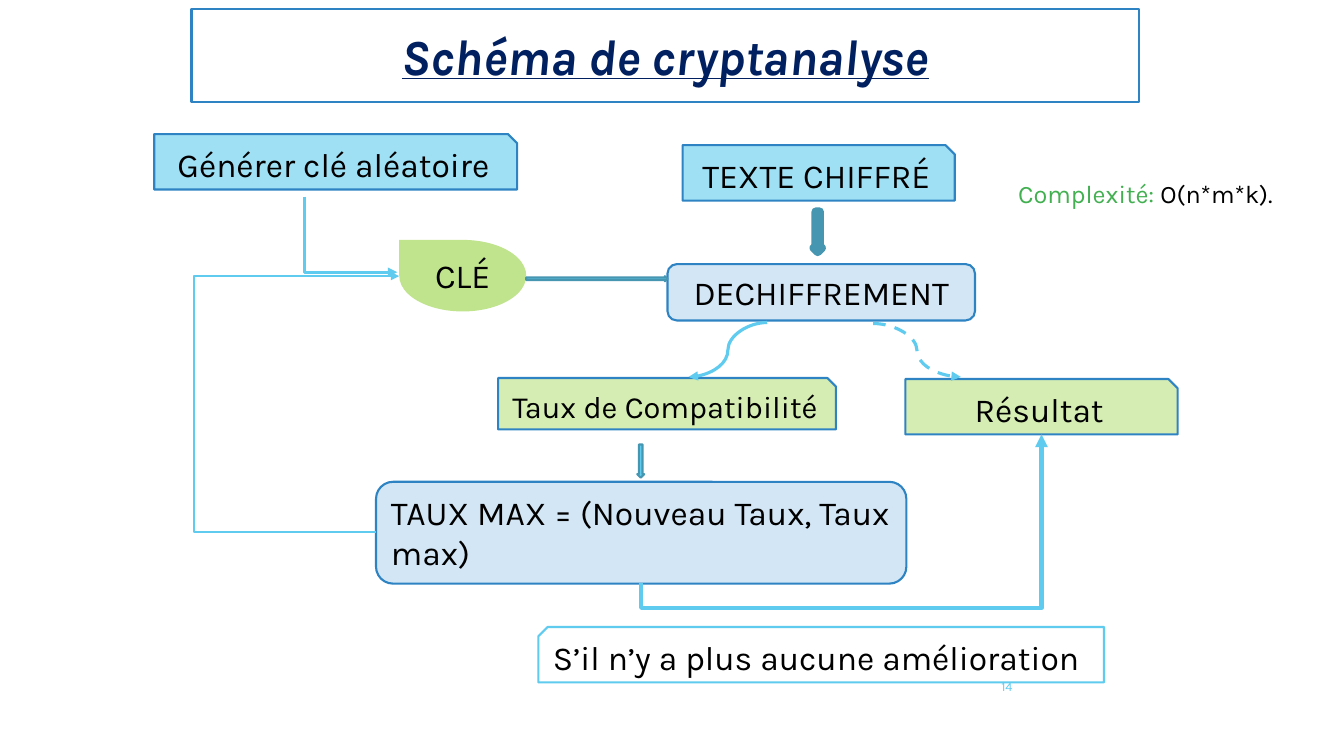
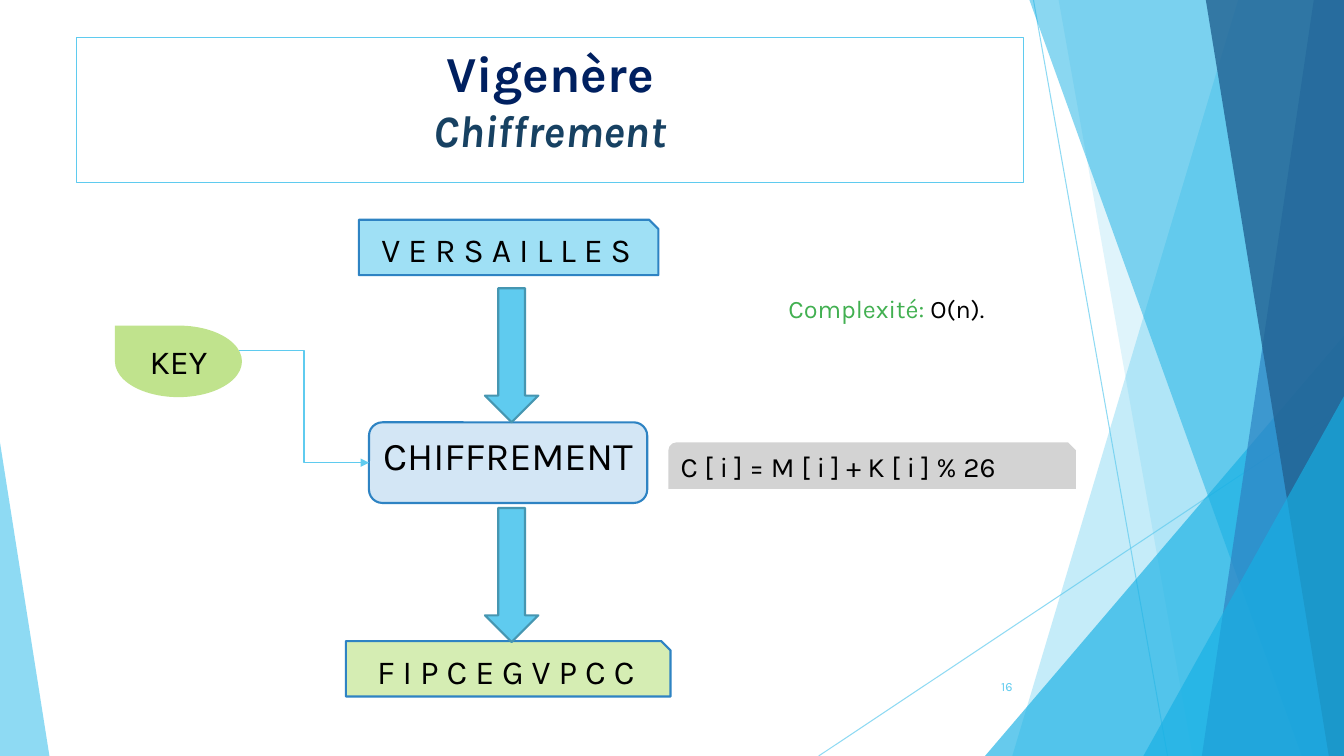
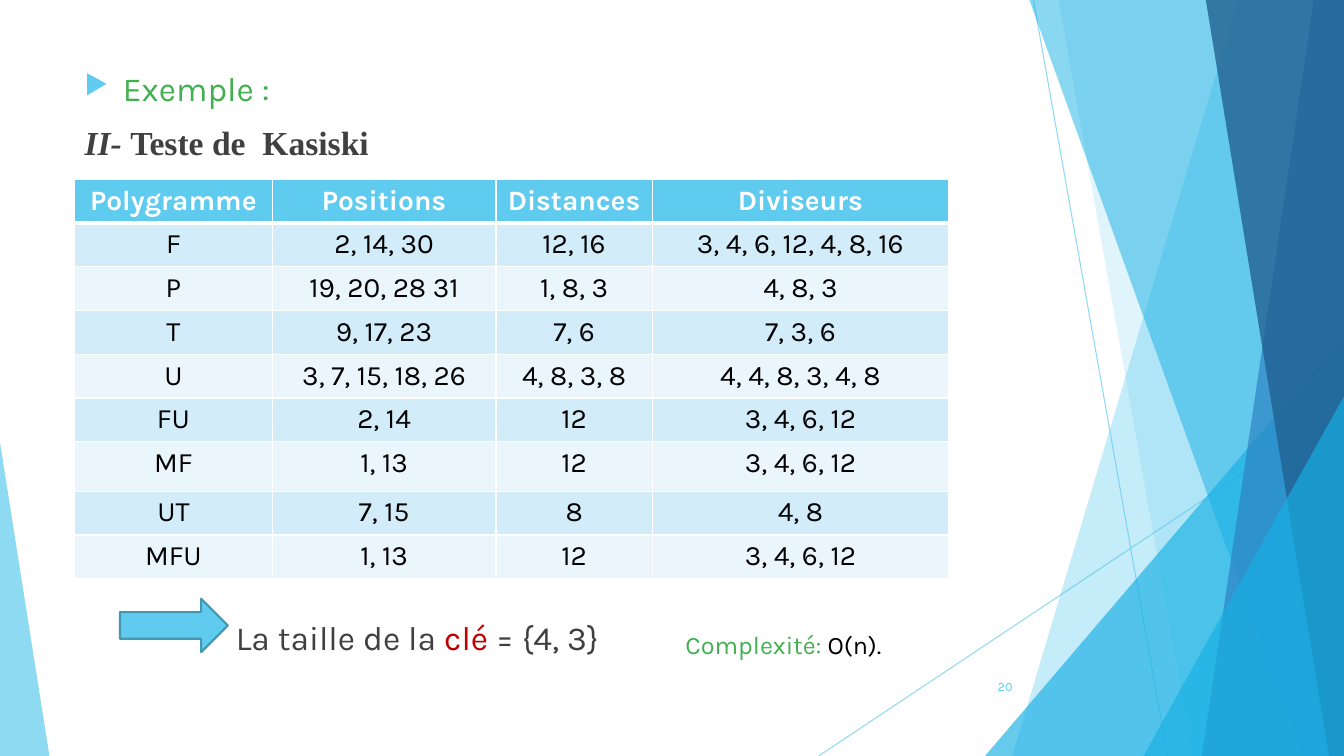
from dataclasses import dataclass

from lxml import etree
from pptx import Presentation
from pptx import util as u
from pptx.dml.color import RGBColor
from pptx.enum import dml, shapes, text
from pptx.oxml import ns

S, C = shapes.MSO_SHAPE, shapes.MSO_CONNECTOR
MID, RIGHT = text.PP_ALIGN.CENTER, text.PP_ALIGN.RIGHT
CELL = u.Inches(1)  # the grid: square cells, 13.33 columns by 7.5 rows
COLS, ROWS = 13.33, 7.5


@dataclass(frozen=True)
class Theme:
    font: str = "Karla"
    serif: str = "Times New Roman"
    ink: str = "000000"
    gray: str = "404040"
    white: str = "FFFFFF"
    navy: str = "002060"
    steel: str = "174162"
    green: str = "42B051"
    red: str = "C00000"
    sky: str = "5FCBEF"
    cyan: str = "17B0E4"
    blue: str = "2E83C3"
    deep: str = "226292"
    teal: str = "4696B1"
    input: str = "9FE0F5"
    step: str = "D3E6F5"
    key: str = "C0E38D"
    output: str = "D5EDB3"
    rule: str = "D3D3D3"
    bands: tuple = ("EAF6FC", "D2ECF9")
    head: int = 36
    sub: int = 32
    large: int = 28
    body: int = 24
    mid: int = 22
    cell: int = 20
    note: int = 18
    tiny: int = 9


T = Theme()


# --- Formatting ---
def add(parent, tag, **attrs):
    node = etree.SubElement(parent, ns.qn(tag))
    for name, value in attrs.items():
        node.set(name, str(value))
    return node


def fade(props, share):
    for color in props.iter(ns.qn("a:srgbClr")):
        add(color, "a:alpha", val=share * 1000)


def paint(fill, color):
    if color:
        fill.solid()
        fill.fore_color.rgb = RGBColor.from_string(color)
    else:
        fill.background()


def write(par, runs, align=None):
    """Each run is a text or a pair of a text and its format values."""
    par.alignment = align
    for item in runs:
        words, style = (item, {}) if isinstance(item, str) else item
        run = par.add_run()
        run.text = words
        style = {"name": T.font, "size": T.body, "color": T.ink, **style}
        paint(run.font.fill, style.pop("color"))
        style["size"] = u.Pt(style["size"])
        for name, value in style.items():
            setattr(run.font, name, value)


def fill_text(frame, pars, align=None, anchor=text.MSO_ANCHOR.TOP, grow=False):
    frame.word_wrap = True
    frame.vertical_anchor = anchor
    if grow:
        frame.auto_size = text.MSO_AUTO_SIZE.SHAPE_TO_FIT_TEXT
    for i, runs in enumerate(pars):
        write(frame.add_paragraph() if i else frame.paragraphs[0], runs, align)


# --- Drawing inside a region ---
class Area:
    def __init__(self, slide, left=0, top=0):
        self.tree, self.left, self.top = slide.shapes, left, top

    def at(self, x, y):
        return int((self.left + x) * CELL), int((self.top + y) * CELL)

    def box(self, x, y, w, h):
        return *self.at(x, y), int(w * CELL), int(h * CELL)

    def style(self, item, fill, line, width):
        item.shadow.inherit = False
        paint(item.fill, fill)
        paint(item.line.fill, line)
        if line:
            item.line.width = u.Pt(width)
        return item

    def shape(self, kind, box, fill, line=None, width=1.5, pars=(), align=MID,
              anchor=text.MSO_ANCHOR.TOP, grow=True, flip=False, adj=None):
        item = self.style(self.tree.add_shape(kind, *self.box(*box)), fill, line, width)
        if flip:
            item._element.spPr.xfrm.set("flipH", "1")
        if adj is not None:
            item.adjustments[0] = adj
        if pars:
            fill_text(item.text_frame, pars, align, anchor, grow)
        return item

    def outline(self, points):
        pen = self.tree.build_freeform(*self.at(*points[0]))
        pen.add_line_segments([self.at(*p) for p in points[1:]])
        return pen.convert_to_shape()

    def words(self, box, pars, **style):
        item = self.tree.add_textbox(*self.box(*box))
        fill_text(item.text_frame, pars, **style)
        return item

    def link(self, kind, start, end, width=1, adj=None, dash=False, tip=True, rise=False):
        (ax, ay), (bx, by) = start, end
        if rise:  # leaves downwards: a box turned a quarter about its middle
            cx, cy, w, h = (ax + bx) / 2, (ay + by) / 2, abs(by - ay), abs(bx - ax)
            ax, ay, bx, by = cx - w / 2, cy - h / 2, cx + w / 2, cy + h / 2
        item = self.tree.add_connector(kind, *self.at(ax, ay), *self.at(bx, by))
        props = item._element.spPr
        if rise:
            props.xfrm.set("rot", str(270 * 60000))
        if adj is not None:
            guides = props.find(ns.qn("a:prstGeom")).get_or_add_avLst()
            add(guides, "a:gd", name="adj1", fmla=f"val {round(adj * 100000)}")
        paint(item.line.fill, T.sky)
        item.line.width = u.Pt(width)
        if dash:
            item.line.dash_style = dml.MSO_LINE.DASH
        if tip:
            add(props.find(ns.qn("a:ln")), "a:tailEnd", type="triangle")
        add(props, "a:effectLst")
        return item


# --- Shared parts ---
def facets(area):
    for ends in (((10.25, 0), (11.58, ROWS)), ((COLS, 4.03), (8.12, ROWS))):
        ray = area.link(C.STRAIGHT, *ends, width=0.75, tip=False)
        fade(ray._element.spPr, 70)

    def band(top, foot, color, share):
        item = area.outline([(top, 0), (COLS, 0), (COLS, ROWS), (foot, ROWS), (top, 0)])
        area.style(item, color, None, 0)
        fade(item._element.spPr, share)

    def wedge(x, y, w, color, share, peak):
        item = area.shape(S.ISOSCELES_TRIANGLE, (x, y, w, ROWS - y), color, adj=peak)
        fade(item._element.spPr, share)

    band(12.28, 10.04, T.sky, 36)
    band(10.5, 11.83, T.sky, 20)
    wedge(9.77, 3.33, 3.56, T.cyan, 66, 1)
    band(10.21, 12.91, T.cyan, 50)
    band(13.03, 11.92, T.blue, 70)
    band(11.96, 13.18, T.deep, 80)
    wedge(11.34, 3.93, 1.99, T.cyan, 66, 1)
    wedge(0, 4.39, 0.49, T.sky, 70, 0)


def number(area, page):
    area.words((9.39, 6.61, 0.75, 0.4), [[(page, dict(size=T.tiny, color=T.sky))]],
               align=RIGHT, anchor=text.MSO_ANCHOR.MIDDLE)


def cost(area, box, order):
    area.words(box, [[("Complexité: ", dict(size=T.note, color=T.green)),
                      (order, dict(size=T.note))]])


def node(area, kind, box, fill, label, size=T.body, **style):
    area.shape(kind, box, fill, T.blue, pars=[[(label, dict(size=size))]], **style)


def drop(area, box, label):
    area.shape(S.TEAR, box, T.key, pars=[[label]], flip=True)


def arrow(area, kind, box, width=1.5):
    area.shape(kind, box, T.sky, T.teal, width)


# --- Flow of the attack ---
def attack(area):
    card, step = S.SNIP_1_RECTANGLE, S.ROUNDED_RECTANGLE
    node(area, card, (5.27, 0.14, 2.7, 0.55), T.input, "TEXTE CHIFFRÉ")
    node(area, card, (0.03, 0.03, 3.6, 0.55), T.input, "Générer clé aléatoire")
    node(area, step, (5.12, 1.32, 3.05, 0.56), T.step, "DECHIFFREMENT")
    drop(area, (2.46, 1.08, 1.26, 0.71), "CLÉ")
    area.link(C.ELBOW, (1.52, 0.65), (2.44, 1.4), 2.25, adj=0)
    arrow(area, S.RIGHT_ARROW, (3.72, 1.44, 1.4, 0.05))
    arrow(area, S.DOWN_ARROW, (6.57, 0.8, 0.08, 0.4), 6)
    node(area, card, (3.44, 2.45, 3.35, 0.51), T.output, "Taux de Compatibilité", T.mid)
    node(area, card, (7.48, 2.46, 2.7, 0.55), T.output, "Résultat")
    area.link(C.CURVE, (6.11, 1.9), (5.33, 2.44), 2.25)
    area.link(C.CURVE, (7.16, 1.91), (8.03, 2.44), 2.25, dash=True)
    node(area, step, (2.23, 3.48, 5.26, 1.01), T.step,
         "TAUX MAX = (Nouveau Taux, Taux max)", align=None)
    arrow(area, S.DOWN_ARROW, (4.82, 3.11, 0.07, 0.33))
    area.link(C.ELBOW, (4.86, 4.48), (8.83, 3.01), 3, adj=-0.17, rise=True)
    area.shape(card, (3.84, 4.92, 5.61, 0.55), T.white, T.sky, flip=True, align=None,
               pars=[["S’il n’y a plus aucune amélioration"]])
    area.link(C.ELBOW, (2.23, 3.98), (2.46, 1.44), adj=-7.85)


# --- Flow of the cipher ---
def cipher(area):
    card = S.SNIP_1_RECTANGLE
    node(area, card, (2.46, 0.08, 2.97, 0.55), T.input, "V E R S A I L L E S")
    drop(area, (0.04, 1.13, 1.26, 0.71), "KEY")
    node(area, S.ROUNDED_RECTANGLE, (2.56, 2.09, 2.76, 0.8), T.step, "CHIFFREMENT", T.large)
    node(area, card, (2.33, 4.26, 3.22, 0.55), T.output, "F I P C E G V P C C")
    for i in range(2):
        arrow(area, S.DOWN_ARROW, (3.71, 0.76 + i * 2.18, 0.53, 1.33))
    area.link(C.ELBOW, (1.27, 1.38), (2.56, 2.49))
    area.shape(S.SNIP_ROUND_RECTANGLE, (5.53, 2.29, 4.04, 0.46), T.rule, align=None,
               pars=[[("C [ i ] = M [ i ] + K [ i ] % 26", dict(size=T.cell))]])


# --- Example text and table ---
def example(area):
    serif = dict(name=T.serif, color=T.gray, bold=True)
    plain = dict(color=T.gray)
    body = area.words((0, 0, 9.4, 6.58), [
        [("Exemple :", dict(color=T.green))],
        [("II- ", dict(serif, italic=True)), ("Teste de \u00a0Kasiski", serif)],
        [("La taille de la ", plain), ("clé", dict(color=T.red)), (" = {4, 3}", plain)]])
    first, second, last = body.text_frame.paragraphs
    second.space_before, last.space_before = u.Pt(10), u.Pt(325)
    last._p.get_or_add_pPr().set("marL", str(int(1.5 * CELL)))
    props = first._p.get_or_add_pPr()
    hang = int(0.38 * CELL)
    props.set("marL", str(hang))
    props.set("indent", str(-hang))
    add(add(props, "a:buClr"), "a:srgbClr", val=T.sky)
    add(props, "a:buSzPct", val=80000)
    add(props, "a:buChar", char="▶")


def edges(cell, foot):
    props = cell._tc.get_or_add_tcPr()
    for side, width in zip("LRTB", (1, 1, 1, foot)):
        line = add(props, f"a:ln{side}", w=u.Pt(width))
        add(add(line, "a:solidFill"), "a:srgbClr", val=T.white)


def grid(area, rows, widths, heights):
    table = area.tree.add_table(
        len(rows), len(widths), *area.box(0, 0, sum(widths), sum(heights))).table
    for col, width in zip(table.columns, widths):
        col.width = int(width * CELL)
    for r, (row, height) in enumerate(zip(rows, heights)):
        table.rows[r].height = int(height * CELL)
        style = dict(size=T.cell) if r else dict(size=T.cell, color=T.white, bold=True)
        for c, label in enumerate(row):
            cell = table.cell(r, c)
            edges(cell, 1 if r else 3)
            paint(cell.fill, T.bands[r % 2] if r else T.sky)
            write(cell.text_frame.paragraphs[0], [(label, style)], MID)


TESTS = [
    ("Polygramme", "Positions", "Distances", "Diviseurs"),
    ("F", "2, 14, 30", "12, 16", "3, 4, 6, 12, 4, 8, 16"),
    ("P", "19, 20, 28 31", "1, 8, 3", "4, 8, 3"),
    ("T", "9, 17, 23", "7, 6", "7, 3, 6"),
    ("U", "3, 7, 15, 18, 26", "4, 8, 3, 8", "4, 4, 8, 3, 4, 8"),
    ("FU", "2, 14", "12", "3, 4, 6, 12"),
    ("MF", "1, 13", "12", "3, 4, 6, 12"),
    ("UT", "7, 15", "8", "4, 8"),
    ("MFU", "1, 13", "12", "3, 4, 6, 12"),
]

# --- Slides ---
deck = Presentation()
deck.slide_width, deck.slide_height = int(COLS * CELL), int(ROWS * CELL)


def sheet(page, faceted=True):
    slide = deck.slides.add_slide(deck.slide_layouts[6])
    paint(slide.background.fill, T.white)
    area = Area(slide)
    if faceted:
        facets(area)
    number(area, page)
    return slide, area


title = dict(size=T.head, color=T.navy, bold=True)

slide, page = sheet("14", faceted=False)
page.shape(S.RECTANGLE, (1.9, 0.09, 9.4, 0.92), T.white, T.blue, grow=False,
           anchor=text.MSO_ANCHOR.MIDDLE,
           pars=[[("Schéma de cryptanalyse", dict(title, italic=True, underline=True))]])
attack(Area(slide, 1.5, 1.3))
cost(page, (10, 1.72, 3.12, 1.01), "O(n*m*k).")

slide, page = sheet("16")
page.shape(S.RECTANGLE, (0.76, 0.37, 9.39, 1.44), None, T.sky, 0.75, grow=False,
           pars=[[("Vigenère", title)],
                 [("Chiffrement", dict(title, size=T.sub, color=T.steel, italic=True))]])
cipher(Area(slide, 1.1, 2.1))
cost(page, (7.72, 2.86, 2.71, 1.01), "O(n).")

slide, page = sheet("20")
example(Area(slide, 0.74, 0.62))
grid(Area(slide, 0.74, 1.78), TESTS, (1.96, 2.22, 1.55, 2.94), [0.41] * 6 + [0.49] + [0.41] * 2)
arrow(page, S.RIGHT_ARROW, (1.19, 5.94, 1.07, 0.53))
cost(page, (6.7, 6.19, 2.71, 1.01), "O(n).")

deck.save("out.pptx")
